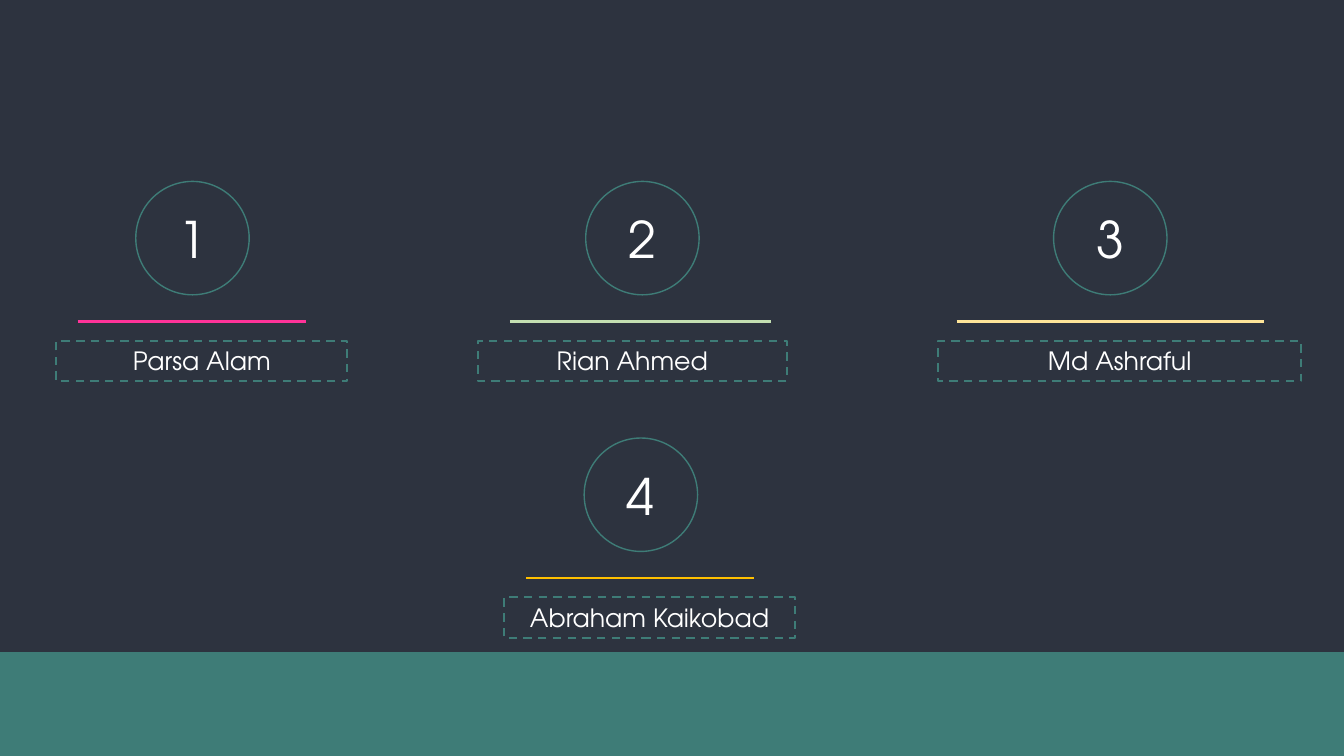
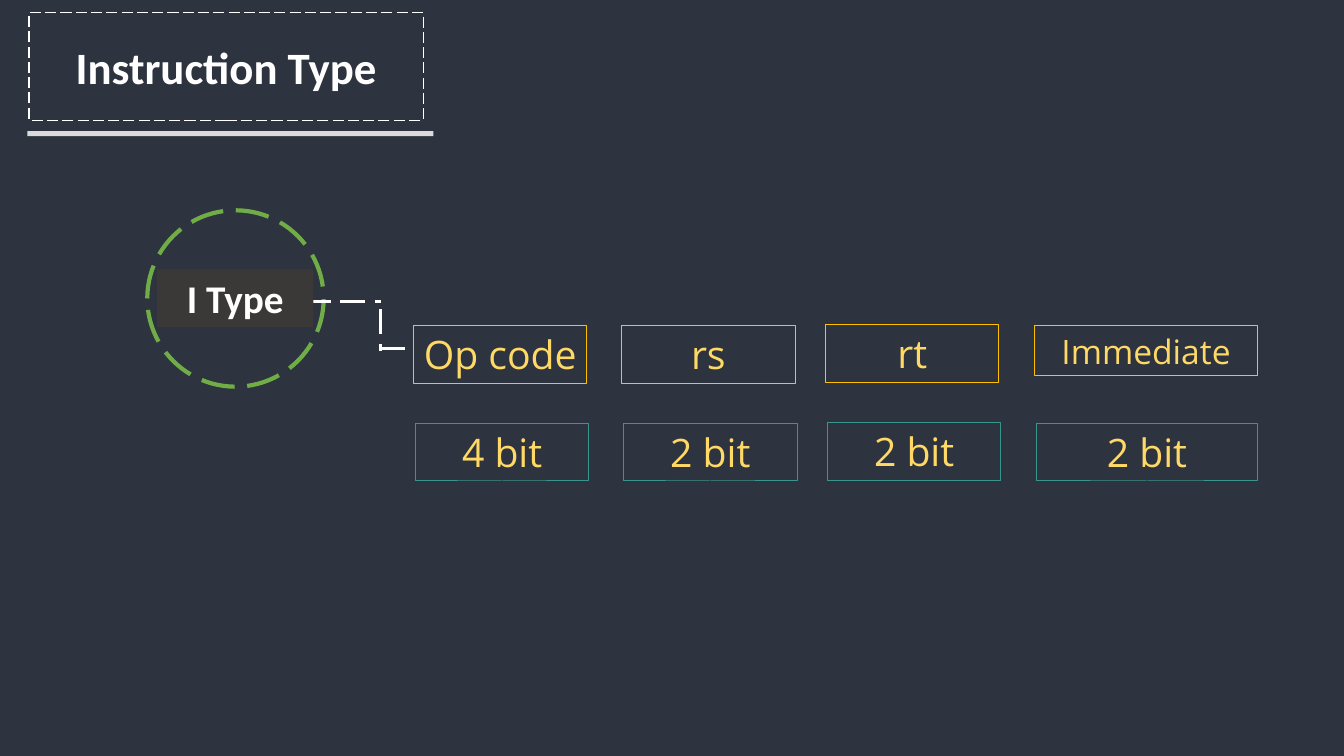
import pptx
import pptx.util
import pptx.dml.color
import pptx.enum.dml
import pptx.enum.shapes
import pptx.enum.text
import pptx.oxml.ns
import lxml.etree

Pt = pptx.util.Pt
SHAPE = pptx.enum.shapes.MSO_SHAPE
ANCHOR = pptx.enum.text.MSO_ANCHOR
DASH = pptx.enum.dml.MSO_LINE.DASH
LONG = pptx.enum.dml.MSO_LINE.LONG_DASH

HEX = {
    "back": "2D333F", "teal": "3E7C77", "sea": "3A968D", "white": "FFFFFF",
    "pink": "FF3399", "mint": "C4E0B2", "cream": "FEE599", "amber": "FFC000",
    "gold": "FFD966", "green": "70AD47", "brown": "3B3838", "grey": "DBDBDB",
}
GEO, SANS, BOLD = "TeX Gyre Adventor", "Open Sans", "Calibri"

# name, circle left, row top, rule (from, to, colour, width), box (left, width)
TEAM = [
    ("Parsa Alam", 97, 129.6, (55.5, 218.5, "pink", 2.25), (40.2, 208)),
    ("Rian Ahmed", 418.4, 129.6, (364.3, 550.8, "mint", 2.25), (341.4, 220.6)),
    ("Md Ashraful", 752.6, 129.6, (683.4, 902.9, "cream", 2.25), (670, 259.5)),
    ("Abraham Kaikobad", 417.3, 312.9, (375.8, 538.6, "amber", 1.5), (360, 208)),
]
DISC = 81

# name, bits, left, shift down, name size, name width, name height, bit width
FIELDS = [
    ("Op code", "4 bit", 295.3, 0, 28, 124, 41.3, 124),
    ("rs", "2 bit", 444, 0, 28, 124, 41.3, 124),
    ("rt", "2 bit", 589.6, -0.7, 28, 124, 41.3, 124),
    ("Immediate", "2 bit", 738.7, 0, 24, 159.8, 36, 158.4),
]
NAME_TOP, BIT_TOP, BIT_HIGH = 232.5, 302.3, 41.3

# x1, y1, x2, y2
ELBOW = [
    (272, 221, 272, 250.6),
    (169.2, 215.2, 272, 215.2),
    (272, 249, 289.4, 249),
]


def tint(name):
    return pptx.dml.color.RGBColor.from_string(HEX[name])


def write(shape, text, size, font=SANS, ink="white", bold=False, anchor=ANCHOR.TOP):
    frame = shape.text_frame
    frame.word_wrap = True
    frame.vertical_anchor = anchor
    frame.margin_left = frame.margin_right = 0
    frame.margin_top = frame.margin_bottom = Pt(3.6)
    para = frame.paragraphs[0]
    para.alignment = pptx.enum.text.PP_ALIGN.CENTER
    run = para.add_run()
    run.text = text
    run.font.size, run.font.name, run.font.bold = Pt(size), font, bold
    run.font.color.rgb = tint(ink)


def stroke(line, ink, width, dash=None):
    line.color.rgb = tint(ink)
    line.width = Pt(width)
    if dash:
        line.dash_style = dash


def draw(slide, x, y, w, h, kind=SHAPE.RECTANGLE, fill=None, line=None):
    """Add a shape; line is (colour, width, optional dash)."""
    shape = slide.shapes.add_shape(kind, Pt(x), Pt(y), Pt(w), Pt(h))
    shape.shadow.inherit = False
    if fill:
        shape.fill.solid()
        shape.fill.fore_color.rgb = tint(fill)
    else:
        shape.fill.background()
    if line:
        stroke(shape.line, *line)
    else:
        shape.line.fill.background()
    return shape


def link(slide, x1, y1, x2, y2, *line):
    wire = slide.shapes.add_connector(
        pptx.enum.shapes.MSO_CONNECTOR.STRAIGHT, Pt(x1), Pt(y1), Pt(x2), Pt(y2))
    stroke(wire.line, *line)
    lxml.etree.SubElement(wire._element.spPr, pptx.oxml.ns.qn("a:effectLst"))


def page(deck):
    slide = deck.slides.add_slide(deck.slide_layouts[6])
    slide.background.fill.solid()
    slide.background.fill.fore_color.rgb = tint("back")
    return slide


def team(slide):
    draw(slide, 0, 465.8, 960, 74.2, fill="teal")
    for rank, (name, x, y, rule, box) in enumerate(TEAM, 1):
        draw(slide, x, y, DISC, DISC, SHAPE.OVAL, line=("teal", 1))
        mark = slide.shapes.add_textbox(Pt(x), Pt(y + 15.6), Pt(DISC), Pt(51))
        write(mark, str(rank), 36, GEO)
        start, end, ink, width = rule
        link(slide, start, y + 100.2, end, y + 100.2, ink, width)
        left, wide = box
        label = draw(slide, left, y + 113.8, wide, 29, line=("teal", 1.5, DASH))
        write(label, name, 18, GEO)


def format_page(slide):
    title = draw(slide, 20.8, 9, 281.5, 77, line=("white", 1, LONG))
    write(title, "Instruction Type", 32, BOLD, bold=True, anchor=ANCHOR.MIDDLE)
    draw(slide, 19.6, 93.6, 290, 3.6, fill="grey")
    draw(slide, 105.2, 150.2, 126, 126, SHAPE.OVAL, line=("green", 3, LONG))
    for ends in ELBOW:
        link(slide, *ends, "white", 2.25, LONG)
    label = draw(slide, 112.2, 192.4, 111.6, 41.2, fill="brown")
    write(label, "I Type", 28, BOLD, bold=True)
    for name, bits, x, drop, size, wide, high, span in FIELDS:
        cell = draw(slide, x, NAME_TOP + drop, wide, high, line=("amber", 0.75))
        write(cell, name, size, ink="gold")
        cell = draw(slide, x + 1.4, BIT_TOP + drop, span, BIT_HIGH, line=("sea", 0.75))
        write(cell, bits, 28, ink="gold")


def main():
    deck = pptx.Presentation()
    deck.slide_width, deck.slide_height = Pt(960), Pt(540)
    team(page(deck))
    format_page(page(deck))
    deck.save("out.pptx")


if __name__ == "__main__":
    main()
